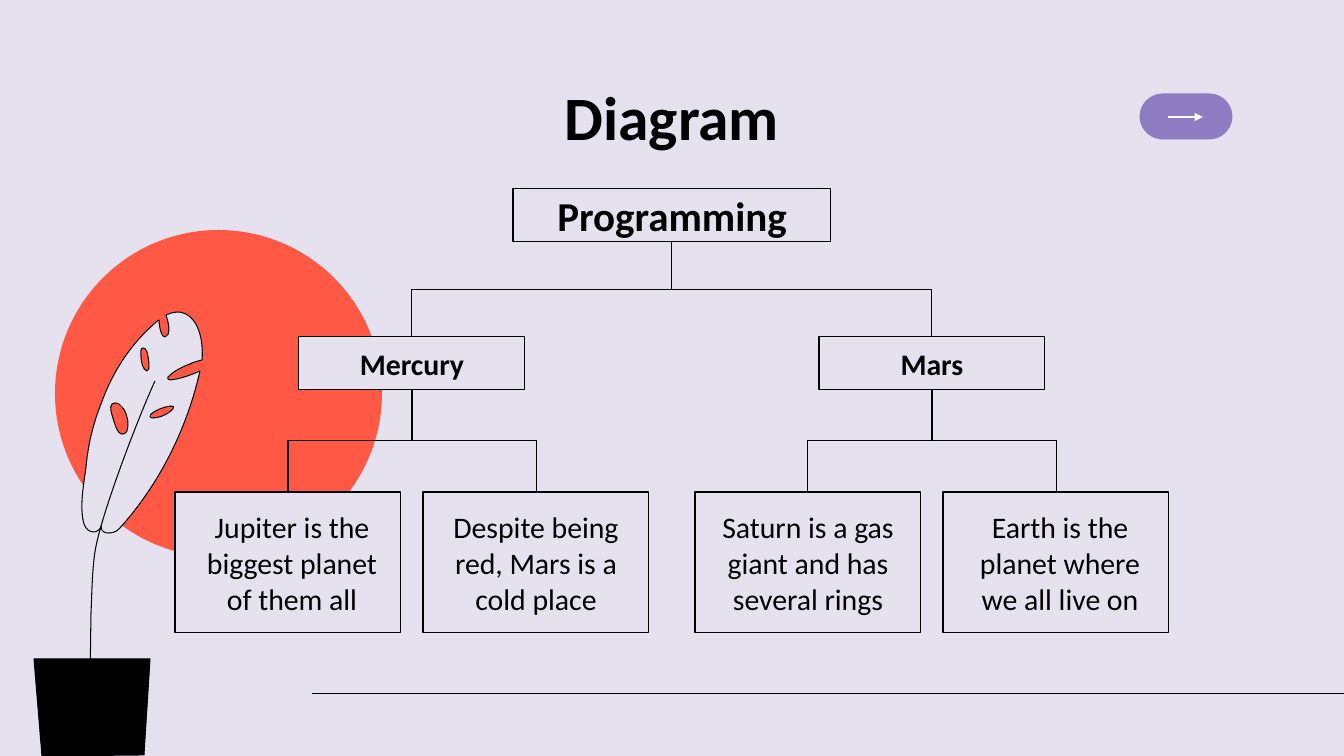
from lxml.etree import SubElement
from pptx import Presentation
from pptx.dml.color import RGBColor
from pptx.enum.shapes import MSO_CONNECTOR, MSO_SHAPE
from pptx.enum.text import MSO_ANCHOR, PP_ALIGN
from pptx.oxml.ns import qn
from pptx.util import Emu, Pt

# Content
TITLE = "Diagram"
ROOT = "Programming"
BRANCHES = [
    ("Mercury", ["Jupiter is the biggest planet of them all",
                 "Despite being red, Mars is a cold place"]),
    ("Mars", ["Saturn is a gas giant and has several rings",
              "Earth is the planet where we all live on"]),
]

# Outlines: a start point, then (x, y) for a line or six numbers for a Bézier curve
LEAF = [
    [(143, 348), (145, 348, 146, 349, 147, 352), (148, 356, 149, 361, 149, 365),
     (149, 368, 149, 371, 147, 371), (143, 370, 141, 362, 141, 357),
     (141, 353, 140, 348, 143, 348)],
    [(171, 406), (173, 406, 175, 407, 173, 409), (167, 415, 159, 418, 152, 418),
     (150, 418, 149, 416, 151, 414), (156, 410, 163, 407, 171, 406)],
    [(115, 403), (119, 403, 120, 405, 122, 407), (126, 411, 127, 417, 128, 422),
     (128, 425, 128, 428, 127, 431), (125, 434, 124, 434, 122, 434),
     (117, 434, 114, 421, 113, 418), (112, 415, 109, 407, 112, 404),
     (113, 403, 114, 403, 115, 403)],
    [(177, 312), (174, 312, 171, 313, 166, 315), (167, 318, 169, 324, 169, 330),
     (169, 333, 168, 336, 165, 337), (161, 337, 159, 325, 159, 320),
     (157, 321, 156, 322, 154, 324), (130, 345, 112, 373, 101, 404),
     (93, 424, 88, 445, 86, 467), (84, 483, 79, 507, 84, 524),
     (86, 530, 90, 532, 94, 532), (97, 532, 101, 529, 101, 526),
     (101, 532, 105, 533, 109, 533), (112, 533, 116, 532, 119, 529),
     (159, 485, 187, 429, 200, 371), (191, 375, 180, 379, 170, 380),
     (168, 380, 167, 378, 168, 377), (174, 371, 182, 367, 190, 364),
     (194, 362, 198, 361, 202, 360), (204, 336, 196, 312, 177, 312)],
]
STEM = [[(155, 381), (139, 416, 101, 514, 95, 552), (92, 573, 92, 593, 91, 614),
         (90, 690)]]
POT = [[(34, 659), (42, 756), (144, 755), (150, 659)]]

# Layout in px: (top, width, height) of each level, and spread around the parent
PX = 914400 / 100.8
SLIDE_WIDTH, SLIDE_HEIGHT = 1344, 756
ROOT_BOX = (189, 318, 53)
BRANCH_BOX = (337, 226, 53)
LEAF_BOX = (492, 226, 141)
BRANCH_SPREAD, LEAF_SPREAD = 260, 124
INSET, OUTER_INDENT = 13, 8

FONT = "Calibri"
LINE_WIDTH = Pt(0.75)
BLACK = RGBColor(0x00, 0x00, 0x00)
WHITE = RGBColor(0xFF, 0xFF, 0xFF)
LAVENDER = RGBColor(0xE5, 0xE1, 0xEE)
PURPLE = RGBColor(0x8E, 0x7C, 0xC3)
CORAL = RGBColor(0xFF, 0x59, 0x46)


def px(*lengths):
    return [Emu(round(length * PX)) for length in lengths]


def style(shape, fill=None, line=None):
    shape.shadow.inherit = False
    if fill is None:
        shape.fill.background()
    else:
        shape.fill.solid()
        shape.fill.fore_color.rgb = fill
    if line is None:
        shape.line.fill.background()
    else:
        shape.line.color.rgb = line
        shape.line.width = LINE_WIDTH


def style_connector(connector, color):
    connector.line.color.rgb = color
    connector.line.width = LINE_WIDTH
    SubElement(connector._element.spPr, qn("a:effectLst"))


def write(shape, text, size, bold, anchor, indent=0):
    frame = shape.text_frame
    frame.word_wrap = True
    frame.vertical_anchor = anchor
    (frame.margin_left, frame.margin_top,
     frame.margin_right, frame.margin_bottom) = px(*[INSET] * 4)
    paragraph = frame.paragraphs[0]
    paragraph.alignment = PP_ALIGN.CENTER
    if indent:
        paragraph._p.get_or_add_pPr().set("marL", str(px(indent)[0]))
    run = paragraph.add_run()
    run.text = text
    run.font.name = FONT
    run.font.size = Pt(size)
    run.font.bold = bold
    run.font.color.rgb = BLACK


def add_outline(shapes, outlines, fill, closed=True):
    """Draw the outlines as one freeform, then bend its straight sides into curves."""
    builder = shapes.build_freeform(*px(*outlines[0][0]))
    for number, outline in enumerate(outlines):
        if number:
            builder.move_to(*px(*outline[0]))
        builder.add_line_segments([px(*segment[-2:]) for segment in outline[1:]],
                                  close=closed)
    shape = builder.convert_to_shape()
    style(shape, fill, BLACK)
    segments = [segment for outline in outlines for segment in outline[1:]]
    sides = list(shape._element.iter(qn("a:lnTo")))
    for side, segment in zip(sides, segments):
        if len(segment) == 2:
            continue
        side.tag = qn("a:cubicBezTo")
        end_point = side[0]
        for x, y in (segment[:2], segment[2:4]):
            x, y = px(x, y)
            control = SubElement(side, qn("a:pt"))
            control.set("x", str(x - shape.left))
            control.set("y", str(y - shape.top))
        side.append(end_point)


def add_line(shapes, start, end, color):
    connector = shapes.add_connector(MSO_CONNECTOR.STRAIGHT, *px(*start, *end))
    style_connector(connector, color)
    return connector


def add_box(shapes, center, level, text, size, bold=True, indent=0):
    top, width, height = level
    box = shapes.add_shape(MSO_SHAPE.RECTANGLE,
                           *px(center - width / 2, top, width, height))
    style(box, LAVENDER, BLACK)
    write(box, text, size, bold, MSO_ANCHOR.MIDDLE, indent)
    return box


def join(shapes, parent, child):
    """Glue an elbow from parent to child, turned so that it leaves downwards."""
    start_x, start_y = parent.left + parent.width // 2, parent.top + parent.height
    end_x, end_y = child.left + child.width // 2, child.top
    to_right = end_x > start_x
    drop, reach = end_y - start_y, abs(end_x - start_x)
    connector = shapes.add_connector(MSO_CONNECTOR.ELBOW, start_x, start_y, end_x, end_y)
    connector.begin_connect(parent, 2)
    connector.end_connect(child, 0)
    connector.left = Emu((start_x + end_x - drop) // 2)
    connector.top = Emu((start_y + end_y - reach) // 2)
    connector.width, connector.height = Emu(drop), Emu(reach)
    transform = connector._element.spPr.find(qn("a:xfrm"))
    transform.set("rot", "16200000" if to_right else "5400000")
    transform.set("flipH", "1" if to_right else "0")
    style_connector(connector, BLACK)


def add_decoration(shapes):
    circle = shapes.add_shape(MSO_SHAPE.OVAL, *px(55, 230, 327, 327))
    style(circle, CORAL)
    add_line(shapes, (312, 694), (SLIDE_WIDTH, 694), BLACK)
    pill = shapes.add_shape(MSO_SHAPE.ROUNDED_RECTANGLE, *px(1139, 93, 94, 47))
    pill.adjustments[0] = 0.5
    style(pill, PURPLE, LAVENDER)
    arrow = add_line(shapes, (1168, 117), (1203, 117), WHITE)
    SubElement(arrow.line._get_or_add_ln(), qn("a:tailEnd"), type="triangle")
    add_outline(shapes, LEAF, LAVENDER)
    add_outline(shapes, STEM, None, closed=False)
    add_outline(shapes, POT, BLACK)


def add_tree(shapes):
    middle = SLIDE_WIDTH / 2
    root = add_box(shapes, middle, ROOT_BOX, ROOT, 29.3)
    for side, (name, facts) in zip((-1, 1), BRANCHES):
        branch_center = middle + side * BRANCH_SPREAD
        branch = add_box(shapes, branch_center, BRANCH_BOX, name, 21.3)
        join(shapes, root, branch)
        for leaf_side, fact in zip((-1, 1), facts):
            indent = OUTER_INDENT if leaf_side == side else 0
            leaf = add_box(shapes, branch_center + leaf_side * LEAF_SPREAD,
                           LEAF_BOX, fact, 21.3, bold=False, indent=indent)
            join(shapes, branch, leaf)


def main():
    presentation = Presentation()
    presentation.slide_width, presentation.slide_height = px(SLIDE_WIDTH, SLIDE_HEIGHT)
    slide = presentation.slides.add_slide(presentation.slide_layouts[5])
    slide.background.fill.solid()
    slide.background.fill.fore_color.rgb = LAVENDER
    add_decoration(slide.shapes)
    title = slide.shapes.title
    title.left, title.top, title.width, title.height = px(105, 66, 1134, 85)
    write(title, TITLE, 44, True, MSO_ANCHOR.TOP)
    add_tree(slide.shapes)
    presentation.save("out.pptx")


if __name__ == "__main__":
    main()
